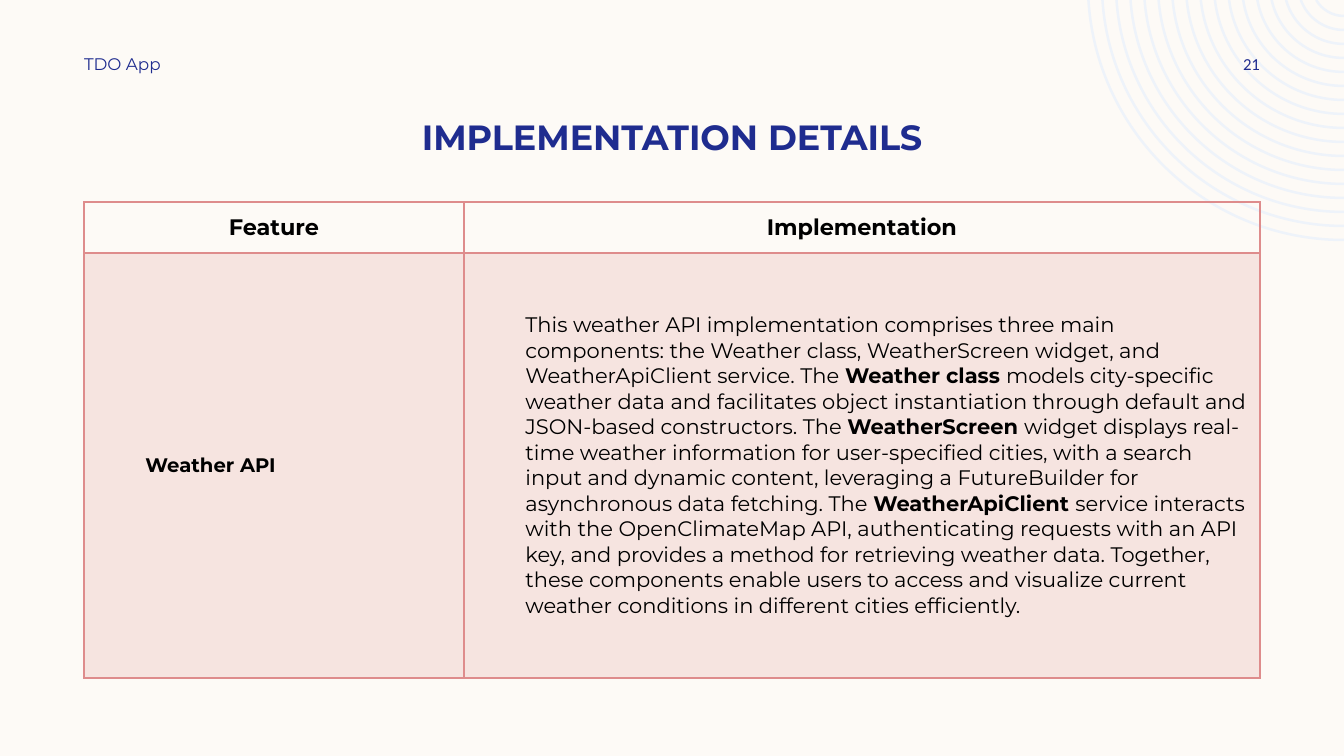
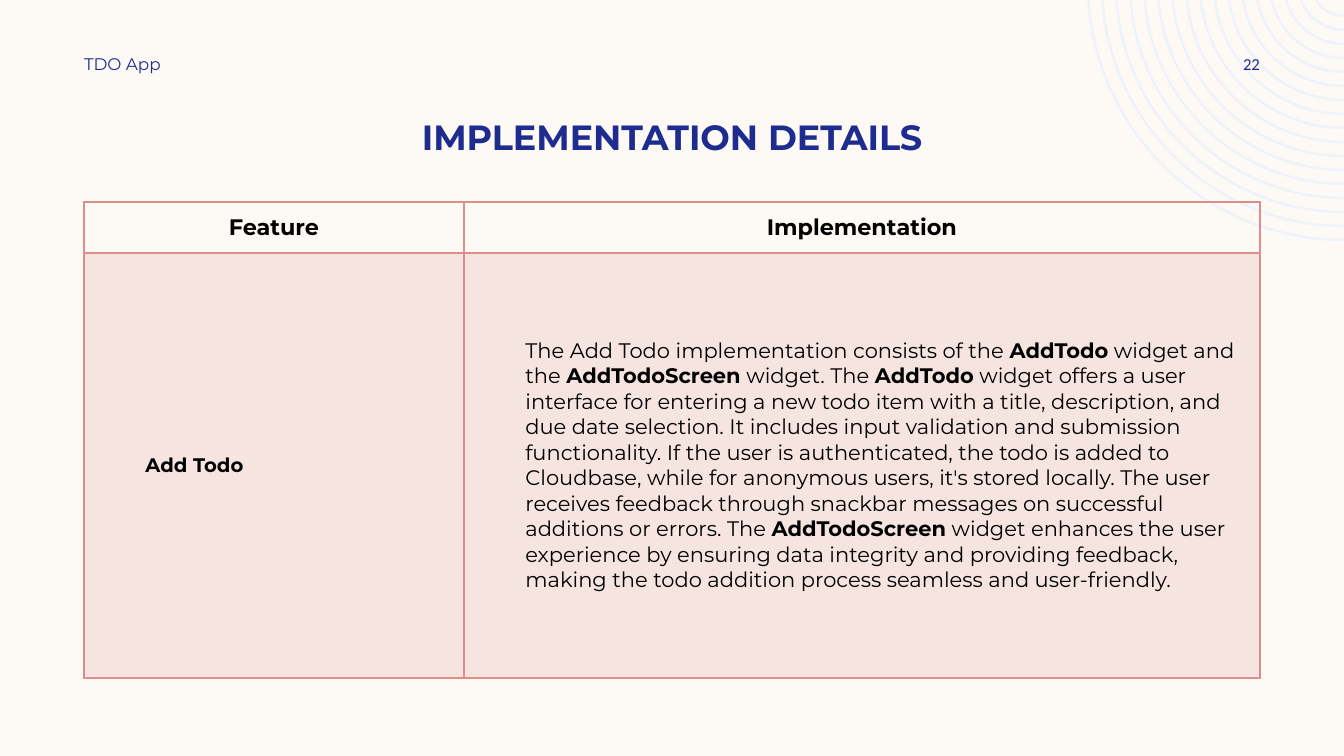
import math

import lxml.etree
import pptx
import pptx.dml.color
import pptx.enum.text
import pptx.oxml.ns
import pptx.util

px = 12192000 / 1344
qn = pptx.oxml.ns.qn
Pt = pptx.util.Pt
align = pptx.enum.text.PP_ALIGN
anchor = pptx.enum.text.MSO_ANCHOR

colors = {"paper": "FDFAF6", "rings": "EEF3FA", "navy": "1F2C8F", "rose": "DE8C8C", "ink": "000000"}
rgb = {name: pptx.dml.color.RGBColor.from_string(value) for name, value in colors.items()}

label_style = {"size": Pt(12), "name": "Montserrat", "bold": False}
number_style = {"size": Pt(12), "name": "Calibri", "bold": False}
title_style = {"size": Pt(25), "name": "Montserrat", "bold": True}
header_style = {"size": Pt(16), "name": "Montserrat", "bold": True}
feature_style = {"size": Pt(14), "name": "Montserrat", "bold": True}
body_style = {"size": Pt(15), "name": "Montserrat", "bold": False}

pages = [
    (
        "21",
        "Weather API",
        "This weather API implementation comprises three main components: the Weather class, "
        "WeatherScreen widget, and WeatherApiClient service. The *Weather class *models "
        "city-specific weather data and facilitates object instantiation through default and "
        "JSON-based constructors. The *WeatherScreen *widget displays real-time weather "
        "information for user-specified cities, with a search input and dynamic content, "
        "leveraging a FutureBuilder for asynchronous data fetching. The *WeatherApiClient "
        "*service interacts with the OpenClimateMap API, authenticating requests with an API "
        "key, and provides a method for retrieving weather data. Together, these components "
        "enable users to access and visualize current weather conditions in different cities "
        "efficiently.",
    ),
    (
        "22",
        "Add Todo",
        "The Add Todo implementation consists of the *AddTodo* widget and the *AddTodoScreen* "
        "widget. The *AddTodo* widget offers a user interface for entering a new todo item with "
        "a title, description, and due date selection. It includes input validation and "
        "submission functionality. If the user is authenticated, the todo is added to "
        "Cloudbase, while for anonymous users, it's stored locally. The user receives feedback "
        "through snackbar messages on successful additions or errors. The *AddTodoScreen* "
        "widget enhances the user experience by ensuring data integrity and providing feedback, "
        "making the todo addition process seamless and user-friendly.",
    ),
]


def write(paragraph, text, style, color, alignment):
    paragraph.alignment = alignment
    for index, part in enumerate(text.split("*")):
        run = paragraph.add_run()
        run.text = part
        for key, value in style.items():
            setattr(run.font, key, value)
        run.font.bold = style["bold"] or index % 2 == 1
        run.font.color.rgb = rgb[color]


def ring_curve(radius):
    start = math.asin(16 / radius)
    reach = 4 / 3 * math.tan((math.pi / 2 - start) / 4) * radius
    left, bottom = 1344 - radius * math.cos(start), radius - 16
    points = [
        (left, 0),
        (left + reach * math.sin(start), reach * math.cos(start)),
        (1344 - reach, bottom),
        (1344, bottom),
    ]
    return [(x * px, y * px) for x, y in points]


presentation = pptx.Presentation()
presentation.slide_width = round(1344 * px)
presentation.slide_height = round(756 * px)
background = presentation.slide_master.background.fill
background.solid()
background.fore_color.rgb = rgb["paper"]

for number, feature, description in pages:
    slide = presentation.slides.add_slide(presentation.slide_layouts[6])

    curves = [ring_curve(radius) for radius in range(32, 257, 14)]
    builder = slide.shapes.build_freeform(*curves[0][0], scale=1.0)
    for curve in curves:
        if curve is not curves[0]:
            builder.move_to(*curve[0])
        builder.add_line_segments(curve[1:], close=False)
    rings = builder.convert_to_shape()
    rings.shadow.inherit = False
    rings.fill.background()
    rings.line.color.rgb = rgb["rings"]
    rings.line.width = round(2.5 * px)
    segments = list(rings._element.iter(qn("a:lnTo")))
    for first, second, third in zip(segments[::3], segments[1::3], segments[2::3]):
        bezier = lxml.etree.Element(qn("a:cubicBezTo"))
        first.addprevious(bezier)
        for segment in (first, second, third):
            bezier.append(segment[0])
            segment.getparent().remove(segment)

    for text, box, style, alignment, vertical, left_inset, right_inset in [
        ("IMPLEMENTATION DETAILS", (84, 78, 1176, 85), title_style, align.CENTER, anchor.BOTTOM, 10, 10),
        ("TDO App", (84, 50, 353, 27), label_style, align.LEFT, anchor.MIDDLE, 0, 10),
        (number, (1151, 50, 109, 27), number_style, align.RIGHT, anchor.MIDDLE, 10, 0),
    ]:
        frame = slide.shapes.add_textbox(*[round(length * px) for length in box]).text_frame
        frame.word_wrap = True
        frame.vertical_anchor = vertical
        frame.margin_left = round(left_inset * px)
        frame.margin_right = round(right_inset * px)
        frame.margin_top = frame.margin_bottom = round(5 * px)
        write(frame.paragraphs[0], text, style, "navy", alignment)

    table_box = [round(length * px) for length in (84, 202, 1176, 476)]
    table = slide.shapes.add_table(2, 2, *table_box).table
    table.first_row = False
    table.horz_banding = False
    for column, width in zip(table.columns, (380, 796)):
        column.width = round(width * px)
    for row, height in zip(table.rows, (51, 425)):
        row.height = round(height * px)

    for row, column, text, style in [
        (0, 0, "Feature", header_style),
        (0, 1, "Implementation", header_style),
        (1, 0, feature, feature_style),
        (1, 1, description, body_style),
    ]:
        is_header = row == 0
        cell = table.cell(row, column)
        cell.vertical_anchor = anchor.MIDDLE
        cell.margin_left = cell.margin_right = round(11 * px)
        cell.margin_top = cell.margin_bottom = round(5 * px)
        paragraph = cell.text_frame.paragraphs[0]
        write(paragraph, text, style, "ink", align.CENTER if is_header else align.LEFT)
        properties = cell._tc.get_or_add_tcPr()
        if is_header:
            cell.fill.background()
        else:
            paragraph.level = 1
            paragraph._p.get_or_add_pPr().set("marL", str(Pt(36)))
            paragraph._p.get_or_add_pPr().set("indent", "0")
            cell.fill.solid()
            cell.fill.fore_color.rgb = rgb["rose"]
            tint = properties.find(".//" + qn("a:srgbClr"))
            lxml.etree.SubElement(tint, qn("a:alpha")).set("val", "20000")
        for position, side in enumerate(("lnL", "lnR", "lnT", "lnB")):
            width = 2 if is_header and side == "lnB" else 1
            border = lxml.etree.Element(qn("a:" + side), w=str(Pt(width)))
            solid = lxml.etree.SubElement(border, qn("a:solidFill"))
            lxml.etree.SubElement(solid, qn("a:srgbClr")).set("val", colors["rose"])
            properties.insert(position, border)

presentation.save("out.pptx")
